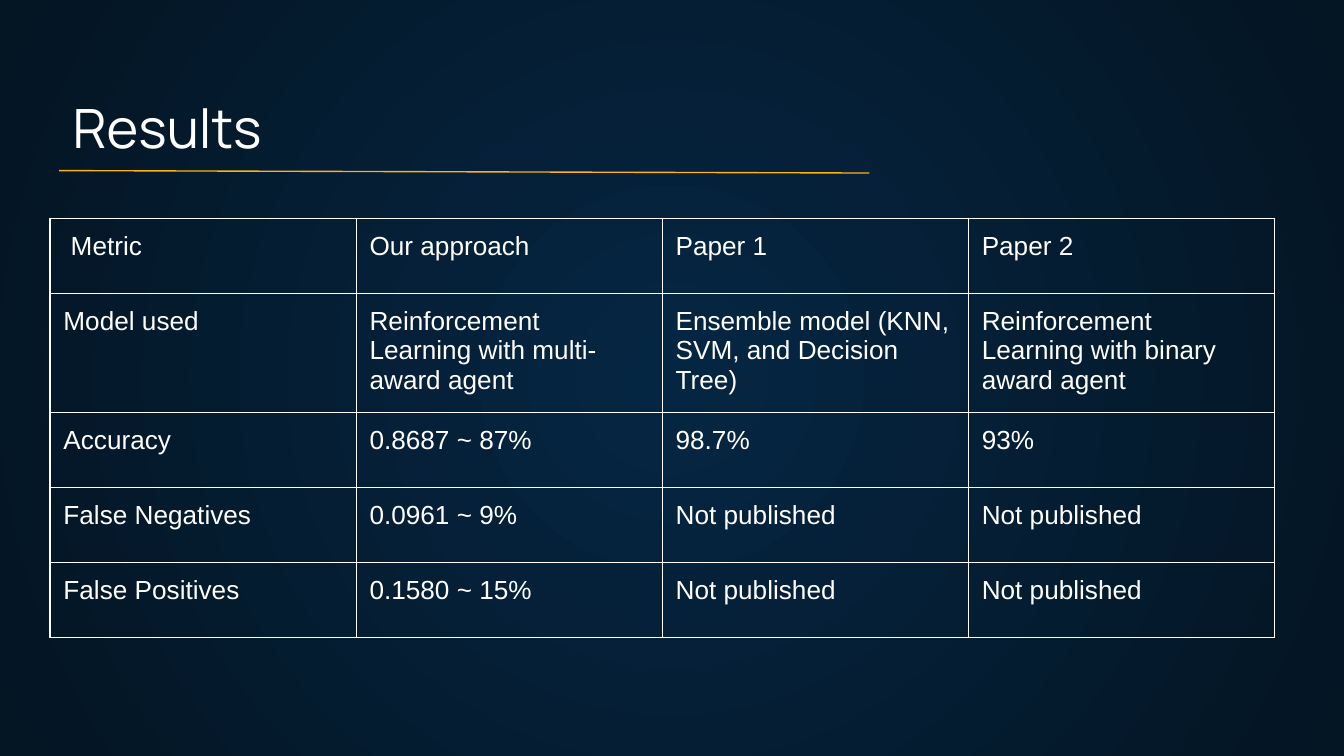
from dataclasses import dataclass
from lxml.etree import SubElement as Sub
from pptx import Presentation
from pptx.dml.color import RGBColor as Rgb
from pptx.enum.shapes import MSO_CONNECTOR as Conn
from pptx.enum.text import MSO_ANCHOR as Anchor, MSO_AUTO_SIZE as Auto, PP_ALIGN as Align
from pptx.oxml.ns import qn
from pptx.util import Pt


@dataclass(frozen=True)
class Theme:
    core: str = "052643"
    edge: str = "041523"
    text: str = "FFFFFF"
    rule: str = "FFB215"
    head: str = "Manrope"
    body: str = "Arial"
    big: int = 29
    small: int = 14
    line: float = 0.75
    pad: float = 7.2


THEME = Theme()

ROWS = [
    [" Metric", "Our approach", "Paper 1", "Paper 2"],
    ["Model used", "Reinforcement Learning with multi-award agent",
     "Ensemble model (KNN, SVM, and Decision Tree)",
     "Reinforcement Learning with binary award agent"],
    ["Accuracy", "0.8687 ~ 87%", "98.7%", "93%"],
    ["False Negatives", "0.0961 ~ 9%", "Not published", "Not published"],
    ["False Positives", "0.1580 ~ 15%", "Not published", "Not published"],
]
HIGH = [40.2, 63.8, 40.2, 40.2, 40.2]
WIDE = 164


def color(code):
    return Rgb.from_string(code)


def style(frame, font, size):
    for para in frame.paragraphs:
        para.alignment = Align.LEFT
        for run in para.runs:
            run.font.name = font
            run.font.size = Pt(size)
            run.font.bold = False
            run.font.color.rgb = color(THEME.text)


def inset(box):
    box.margin_left = box.margin_right = Pt(THEME.pad)
    box.margin_top = box.margin_bottom = Pt(THEME.pad)
    box.vertical_anchor = Anchor.TOP


def paint(slide):
    fill = slide.background.fill
    fill.gradient()
    for stop, code in zip(fill.gradient_stops, (THEME.core, THEME.edge)):
        stop.color.rgb = color(code)
    grad = slide.element.find(".//" + qn("a:gradFill"))
    grad.remove(grad.find(qn("a:lin")))
    path = Sub(grad, qn("a:path"), path="circle")
    Sub(path, qn("a:fillToRect"), l="50000", t="50000", r="50000", b="50000")


def add_title(slide, text):
    title = slide.shapes.title
    title.left, title.top = Pt(31.7), Pt(43.2)
    title.width, title.height = Pt(656), Pt(48.2)
    frame = title.text_frame
    frame.text = text
    frame.word_wrap = True
    frame.auto_size = Auto.NONE
    inset(frame)
    style(frame, THEME.head, THEME.big)


def add_rule(slide):
    rule = slide.shapes.add_connector(
        Conn.STRAIGHT, Pt(31.7), Pt(91.4), Pt(465.8), Pt(92.7))
    rule.line.color.rgb = color(THEME.rule)
    rule.line.width = Pt(THEME.line)
    Sub(rule.element.spPr, qn("a:effectLst"))


def edge(cell):
    props = cell._tc.get_or_add_tcPr()
    for side in "LRTB":
        line = Sub(props, qn(f"a:ln{side}"), w=str(Pt(THEME.line)))
        fill = Sub(line, qn("a:solidFill"))
        Sub(fill, qn("a:srgbClr"), val=THEME.text)


def add_grid(slide):
    count = len(ROWS[0])
    grid = slide.shapes.add_table(
        len(ROWS), count, Pt(26.8), Pt(116.9), Pt(WIDE * count), Pt(sum(HIGH))).table
    grid.first_row = grid.horz_banding = False
    for col in grid.columns:
        col.width = Pt(WIDE)
    for row, high, texts in zip(grid.rows, HIGH, ROWS):
        row.height = Pt(high)
        for cell, text in zip(row.cells, texts):
            cell.text_frame.text = text
            inset(cell)
            edge(cell)
            cell.fill.background()
            style(cell.text_frame, THEME.body, THEME.small)


def main():
    deck = Presentation()
    deck.slide_width, deck.slide_height = Pt(720), Pt(405)
    slide = deck.slides.add_slide(deck.slide_layouts[5])
    paint(slide)
    add_title(slide, "Results")
    add_rule(slide)
    add_grid(slide)
    deck.save("out.pptx")


if __name__ == "__main__":
    main()
